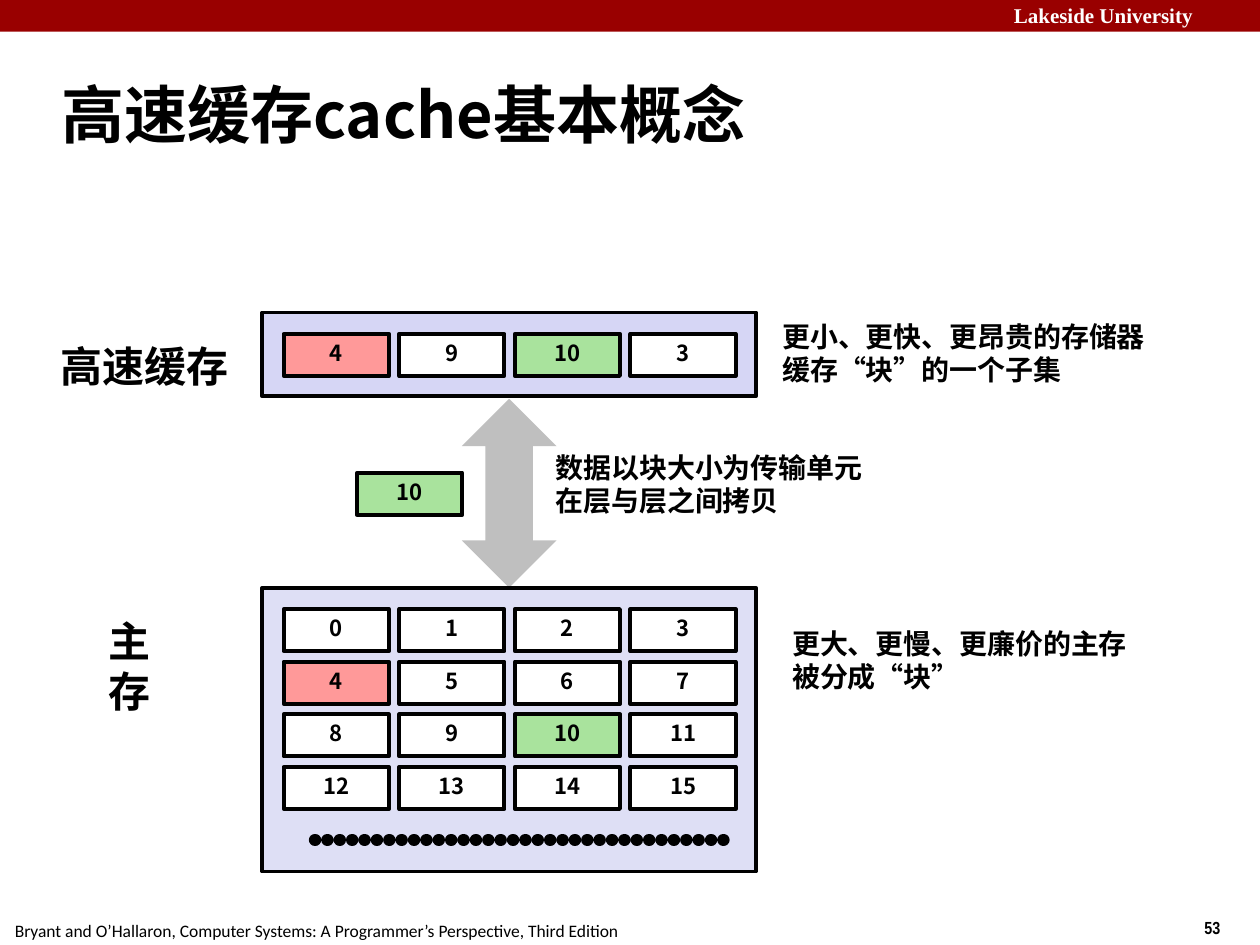
from lxml import etree
from pptx import Presentation
from pptx.dml.color import RGBColor
from pptx.enum.shapes import MSO_CONNECTOR, MSO_SHAPE
from pptx.enum.text import MSO_ANCHOR, PP_ALIGN
from pptx.oxml import parse_xml
from pptx.oxml.ns import nsdecls, qn
from pptx.util import Cm, Pt

COLORS = {
    "black": "000000", "white": "FFFFFF", "banner": "990000", "arrow": "BFBFBF",
    "cache": "D6D6F5", "memory": "DEDFF5", "red": "FF9999", "green": "A9E39D",
}
CJK = "Noto Sans CJK SC"
HIGHLIGHTS = {4: "red", 10: "green"}

CACHE_BLOCKS = [[4, 9, 10, 3]]
MEMORY_BLOCKS = [[0, 1, 2, 3], [4, 5, 6, 7], [8, 9, 10, 11], [12, 13, 14, 15]]

# Lengths in centimetres
BLOCK_SIZE = (2.12, 0.85)
BLOCK_PITCH = (2.33, 1.06)
GRID_LEFT = 5.72
CACHE_TOP, MEMORY_TOP = 6.73, 12.28
TRANSFER_BLOCK = (7.2, 9.53)

# lines, (left, top, width, height), font, size, bold, colour, wrap
FRAME_TEXTS = [
    (["Lakeside University"], (20.19, -0.08, 5.38, 0.76), "Times New Roman", 12, True, "white", True),
    (["53"], (24.03, 18.36, 1.9, 0.69), "Arial Narrow", 10, True, "black", False),
    (["Bryant and O’Hallaron, Computer Systems: A Programmer’s Perspective, Third Edition"],
     (0.05, 18.42, 12.73, 0.69), "Calibri", 10, False, "black", False),
]
TITLE = (["高速缓存cache基本概念"], (0.99, 1.24, 21.08, 2.11), CJK, 36, True, "black", True)
LABELS = [
    (["高速缓存"], (0.97, 6.73, 3.89, 1.27), CJK, 24, True, "black", False),
    (["主存"], (1.93, 12.28, 2.18, 1.27), CJK, 24, True, "black", False),
]
NOTES = [
    (["更大、更慢、更廉价的主存", "被分成“块”"],
     (15.72, 12.55, 7.26, 1.57), CJK, 16, True, "black", False),
    (["数据以块大小为传输单元", "在层与层之间拷贝"],
     (10.95, 8.99, 7.87, 1.57), CJK, 16, True, "black", True),
    (["更小、更快、更昂贵的存储器", "缓存“块”的一个子集"],
     (15.52, 6.35, 7.82, 1.57), CJK, 16, True, "black", False),
]


def color(name):
    return RGBColor.from_string(COLORS[name])


def style_paragraph(paragraph, name, size, bold, color_name):
    font = paragraph.font
    font.name, font.size, font.bold = name, Pt(size), bold
    font.color.rgb = color(color_name)
    if name == CJK:
        properties = paragraph._p.pPr.find(qn("a:defRPr"))
        east_asian = etree.Element(qn("a:ea"), typeface=name)
        properties.find(qn("a:latin")).addnext(east_asian)


def add_text(slide, entry, anchor=MSO_ANCHOR.TOP, spacing=None):
    lines, box, name, size, bold, color_name, wrap = entry
    frame = slide.shapes.add_textbox(*map(Cm, box)).text_frame
    frame.word_wrap = wrap
    frame.vertical_anchor = anchor
    frame.text = "\n".join(lines)
    for paragraph in frame.paragraphs:
        paragraph.line_spacing = spacing
        style_paragraph(paragraph, name, size, bold, color_name)


def add_filled_shape(slide, kind, box, fill, outlined=True):
    shape = slide.shapes.add_shape(kind, *map(Cm, box))
    shape.shadow.inherit = False
    shape.fill.solid()
    shape.fill.fore_color.rgb = color(fill)
    if outlined:
        shape.line.color.rgb = color("black")
        shape.line.width = Pt(2.25)
    else:
        shape.line.fill.background()
    return shape


def add_block(slide, number, left, top):
    fill = HIGHLIGHTS.get(number, "white")
    block = add_filled_shape(slide, MSO_SHAPE.RECTANGLE, (left, top, *BLOCK_SIZE), fill)
    frame = block.text_frame
    frame.vertical_anchor = MSO_ANCHOR.MIDDLE
    frame.text = str(number)
    paragraph = frame.paragraphs[0]
    paragraph.alignment = PP_ALIGN.CENTER
    paragraph.line_spacing = 0.8
    style_paragraph(paragraph, CJK, 12.6, True, "black")


def add_block_grid(slide, rows, top):
    for row, numbers in enumerate(rows):
        for column, number in enumerate(numbers):
            add_block(slide, number, GRID_LEFT + column * BLOCK_PITCH[0], top + row * BLOCK_PITCH[1])


def add_dotted_line(slide, left, right, y):
    line = slide.shapes.add_connector(MSO_CONNECTOR.STRAIGHT, Cm(left), Cm(y), Cm(right), Cm(y))
    line.line.color.rgb = color("black")
    line.line.width = Pt(7)
    outline = line.line._get_or_add_ln()
    outline.set("cap", "rnd")
    outline.append(parse_xml(
        f'<a:custDash {nsdecls("a")}><a:ds d="1000" sp="100000"/></a:custDash>'))
    etree.SubElement(line._element.spPr, qn("a:effectLst"))


def main():
    presentation = Presentation()
    presentation.slide_width, presentation.slide_height = Cm(25.4), Cm(19.05)
    slide = presentation.slides.add_slide(presentation.slide_layouts[6])

    add_filled_shape(slide, MSO_SHAPE.RECTANGLE, (0, 0, 25.4, 0.64), "banner", outlined=False)
    for entry in FRAME_TEXTS:
        add_text(slide, entry)
    add_text(slide, TITLE, MSO_ANCHOR.MIDDLE)

    add_filled_shape(slide, MSO_SHAPE.UP_DOWN_ARROW, (9.31, 8.04, 1.91, 3.81), "arrow", outlined=False)
    add_filled_shape(slide, MSO_SHAPE.RECTANGLE, (5.29, 11.85, 9.95, 5.72), "memory")
    add_filled_shape(slide, MSO_SHAPE.RECTANGLE, (5.29, 6.3, 9.95, 1.69), "cache")
    add_block_grid(slide, MEMORY_BLOCKS, MEMORY_TOP)
    add_dotted_line(slide, 6.35, 14.82, 16.93)
    add_block_grid(slide, CACHE_BLOCKS, CACHE_TOP)
    add_block(slide, 10, *TRANSFER_BLOCK)

    for entry in LABELS:
        add_text(slide, entry)
    for entry in NOTES:
        add_text(slide, entry, MSO_ANCHOR.MIDDLE, 0.98)
    presentation.save("out.pptx")


if __name__ == "__main__":
    main()
